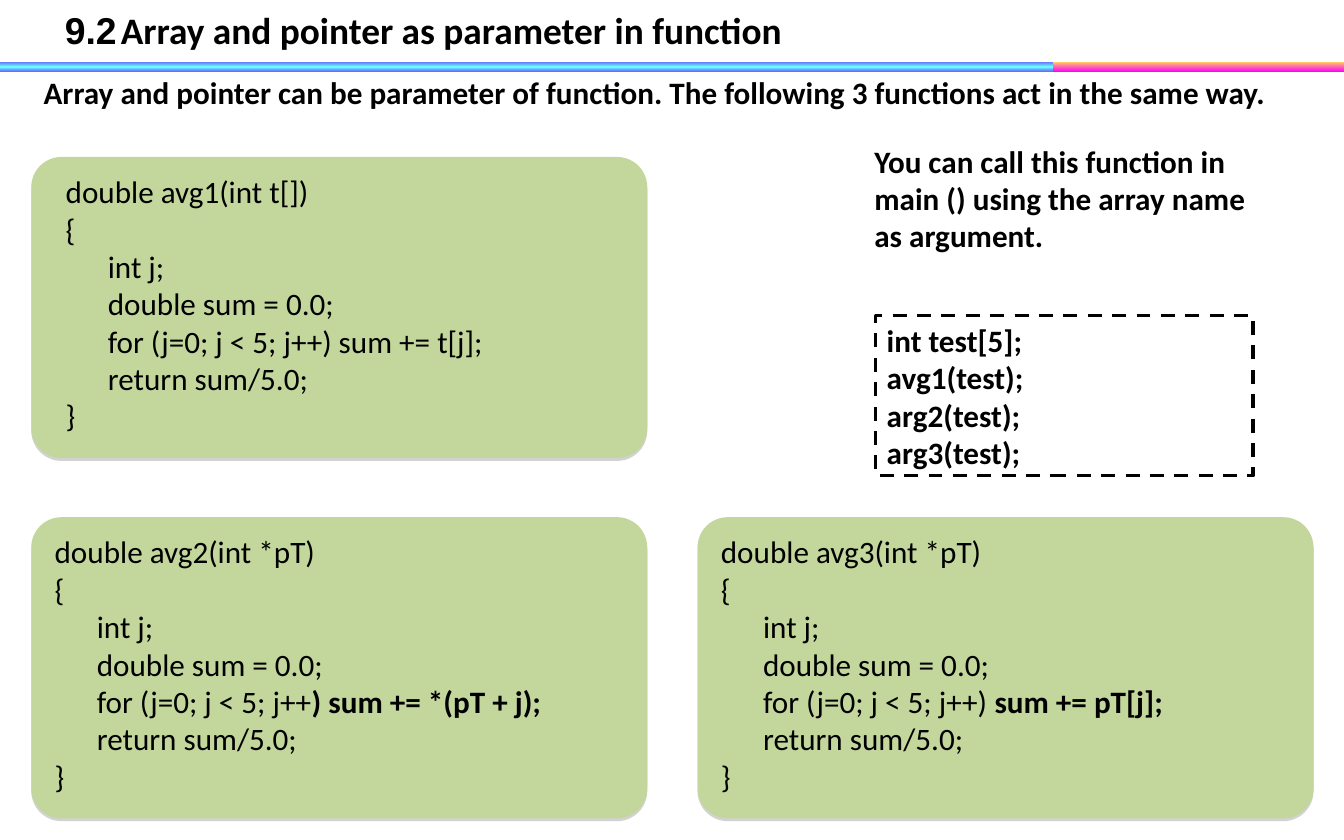
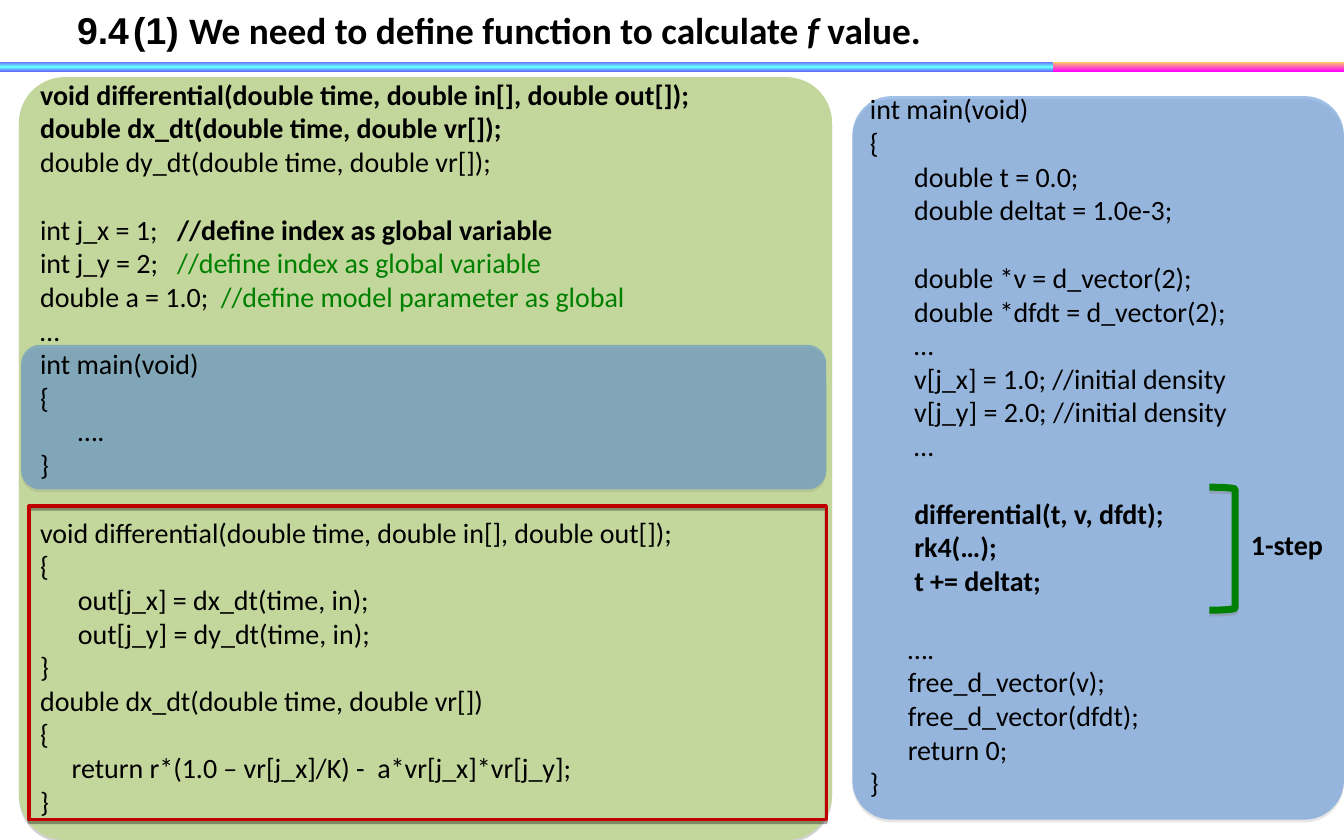
"""Build two slides on passing arrays and pointers to C functions."""
from pptx import Presentation
from pptx import util as u
from pptx.dml import color
from pptx.enum import dml, shapes, text
from pptx.oxml import ns, parse_xml

Cm, Pt = u.Cm, u.Pt
COLORS = {
    "black": "000000", "green": "008000", "red": "C00000", "grey": "808080",
    "leaf": "C3D69B", "blue": "558ED5",
    "magenta": "FF00FF", "orange": "FFCC66", "violet": "6666FF", "cyan": "66FFFF",
}
STYLES = {
    "plain": {}, "bold": {"bold": True}, "green": {"ink": "green"},
    "heading": {"bold": True, "name": "Arial"},
    "italic": {"bold": True, "italic": True},
}
LINE_HEIGHT = 1.22


class Deck:
    def __init__(self):
        self.presentation = Presentation()
        self.presentation.slide_width = Cm(30.48)
        self.presentation.slide_height = Cm(19.05)
        self.slide = None

    def rgb(self, name):
        return color.RGBColor.from_string(COLORS[name])

    def add_slide(self, title_left, title):
        self.slide = self.presentation.slides.add_slide(self.presentation.slide_layouts[6])
        self.band(22.55, 7.93, ["magenta", "orange"])
        self.band(0, 23.88, ["violet", "cyan", "violet"])
        self.text(title_left, 0.03, 22.9, 1.27, [title], 24, "bold")

    def shape(self, kind, left, top, width, height, fill=None, opacity=100,
              line=None, line_width=2.25, adjustment=None, shadow=None):
        shape = self.slide.shapes.add_shape(kind, Cm(left), Cm(top), Cm(width), Cm(height))
        if adjustment is not None:
            shape.adjustments[0] = adjustment
        if fill:
            shape.fill.solid()
            shape.fill.fore_color.rgb = self.rgb(fill)
            if opacity < 100:
                solid = shape._element.spPr.find(ns.qn("a:solidFill"))
                solid.find(ns.qn("a:srgbClr")).append(parse_xml(
                    f'<a:alpha {ns.nsdecls("a")} val="{opacity * 1000}"/>'))
        else:
            shape.fill.background()
        if line:
            shape.line.color.rgb = self.rgb(line)
            shape.line.width = Pt(line_width)
        else:
            shape.line.fill.background()
        shape.shadow.inherit = False
        if shadow:
            shape._element.spPr.find(ns.qn("a:effectLst")).append(parse_xml(
                f'<a:outerShdw {ns.nsdecls("a")} blurRad="0" dist="23000" dir="5400000" '
                f'rotWithShape="0"><a:srgbClr val="{COLORS[shadow]}">'
                '<a:alpha val="35000"/></a:srgbClr></a:outerShdw>'))
        return shape

    def band(self, left, width, names):
        band = self.shape(shapes.MSO_SHAPE.RECTANGLE, left, 1.4, width, 0.23)
        band.fill.gradient()
        band.fill.gradient_angle = 90
        stops = "".join(
            f'<a:gs pos="{100000 * index // (len(names) - 1)}">'
            f'<a:srgbClr val="{COLORS[name]}"/></a:gs>' for index, name in enumerate(names))
        gradient = band._element.spPr.find(ns.qn("a:gradFill"))
        gradient.replace(gradient.find(ns.qn("a:gsLst")), parse_xml(
            f'<a:gsLst {ns.nsdecls("a")}>{stops}</a:gsLst>'))

    def panel(self, left, top, width, height, fill, adjustment, opacity=100):
        self.shape(shapes.MSO_SHAPE.ROUNDED_RECTANGLE, left, top, width, height, fill,
                   opacity, adjustment=adjustment, shadow="grey")

    def frame(self, left, top, width, height, line, shadow=None):
        return self.shape(shapes.MSO_SHAPE.RECTANGLE, left, top, width, height,
                          line=line, shadow=shadow)

    def text(self, left, top, width, height, lines, size, style="plain", tabs=()):
        box = self.slide.shapes.add_textbox(Cm(left), Cm(top), Cm(width), Cm(height))
        self.set_lines(box, lines, size, style, tabs)

    def set_lines(self, shape, lines, size, style="plain", tabs=()):
        frame = shape.text_frame
        frame.word_wrap = True
        frame.vertical_anchor = text.MSO_ANCHOR.TOP
        frame.text = "\n".join("" for line in lines if line)
        paragraphs = iter(frame.paragraphs)
        gap = False
        for line in lines:
            if not line:
                gap = True
                continue
            paragraph = next(paragraphs)
            paragraph.alignment = text.PP_ALIGN.LEFT
            if gap:
                paragraph.space_before = Pt(round(size * LINE_HEIGHT))
            gap = False
            pieces = [(line, style)] if isinstance(line, str) else line
            paragraph.text = pieces[0][0]
            for content, _ in pieces[1:]:
                paragraph.add_run().text = content
            if tabs and "\t" in paragraph.text:
                stops = "".join(f'<a:tab pos="{Cm(stop)}" algn="l"/>' for stop in tabs)
                paragraph._p.get_or_add_pPr().append(parse_xml(
                    f'<a:tabLst {ns.nsdecls("a")}>{stops}</a:tabLst>'))
            for run, (_, name) in zip(paragraph.runs, pieces):
                self.style_font(run.font, size, **STYLES[name])

    def style_font(self, font, size, bold=False, italic=False, name="Calibri", ink="black"):
        font.size, font.bold, font.italic, font.name = Pt(size), bold, italic, name
        font.color.rgb = self.rgb(ink)

    def function_card(self, left, top, indent, signature, loop):
        self.panel(left, top, 13.97, 6.83, "leaf", 0.1)
        lines = [signature, "{", "      int j;", "      double sum = 0.0;", loop,
                 "      return sum/5.0;", "}"]
        self.text(left + indent, top + 0.23, 13.4, 6.4, lines, 20)


def add_parameter_slide(deck):
    deck.add_slide(1.22, [("9.2\t", "heading"),
                          ("Array and pointer as parameter in function", "bold")])
    deck.text(0.74, 1.55, 28.37, 1.96, [
        "Array and pointer can be parameter of function. "
        "The following 3 functions act in the same way."], 20, "bold")
    left, right, upper, lower = 0.71, 15.82, 3.56, 11.73
    deck.function_card(left, upper, 0.53, "double avg1(int t[])",
                       "      for (j=0; j < 5; j++) sum += t[j];")
    deck.function_card(left, lower, 0.28, "double avg2(int *pT)",
                       [("      for (j=0; j < 5; j++", "plain"),
                        (") sum += *(pT + j);", "bold")])
    deck.function_card(right, lower, 0.28, "double avg3(int *pT)",
                       [("      for (j=0; j < 5; j++) ", "plain"), ("sum += pT[j];", "bold")])
    deck.text(19.58, 3.1, 8.99, 3.63, [
        "You can call this function in main () using the array name as argument."], 20, "bold")
    calls = deck.frame(19.86, 7.16, 8.56, 3.63, "black")
    calls.line.dash_style = dml.MSO_LINE.DASH
    deck.set_lines(calls, ["int test[5];", "avg1(test);", "arg2(test);", "arg3(test);"],
                   20, "bold")


def add_differential_slide(deck):
    deck.add_slide(1.5, [("9.4\t(1) ", "heading"),
                         ("We need to define function to calculate ", "bold"),
                         ("f", "italic"), (" value.", "bold")])
    deck.panel(0.43, 1.75, 18.44, 17.3, "leaf", 0.06)
    deck.panel(0.48, 7.82, 18.26, 3.28, "blue", 0.13, 55)
    index_comment = "//define index as global variable"
    program = [
        [("void differential(double time, double in[], double out[]);", "bold")],
        [("double dx_dt(double time, double vr[]);", "bold")],
        "double dy_dt(double time, double vr[]);",
        "",
        [("int j_x = 1;\t", "plain"), (index_comment, "bold")],
        [("int j_y = 2;\t", "plain"), (index_comment, "green")],
        [("double a = 1.0;\t", "plain"), ("//define model parameter as global", "green")],
        "…",
        "int main(void)",
        "{",
        "      ….",
        "}",
        "",
        "void differential(double time, double in[], double out[]);",
        "{",
        "      out[j_x] = dx_dt(time, in);",
        "      out[j_y] = dy_dt(time, in);",
        "}",
        "double dx_dt(double time, double vr[])",
        "{",
        "     return r*(1.0 – vr[j_x]/K) -  a*vr[j_x]*vr[j_y];",
        "}",
    ]
    deck.text(0.66, 1.63, 18.69, 17.02, program, 18, tabs=(3.11, 4.1))

    deck.panel(19.33, 2.18, 11.15, 16.41, "blue", 0.08, 55)
    main_body = [
        "int main(void)",
        "{",
        "       double t = 0.0;",
        "       double deltat = 1.0e-3;",
        "",
        "       double *v = d_vector(2);",
        "       double *dfdt = d_vector(2);",
        "       …",
        "       v[j_x] = 1.0; //initial density",
        "       v[j_y] = 2.0; //initial density",
        "       …",
        "",
        *([("       ", "plain"), (step, "bold")]
          for step in ("differential(t, v, dfdt);", "rk4(…);", "t += deltat;")),
        "",
        "      ….",
        "      free_d_vector(v);",
        "      free_d_vector(dfdt);",
        "      return 0;",
        "}",
    ]
    deck.text(19.48, 1.96, 10.87, 16.26, main_body, 18)
    deck.shape(shapes.MSO_SHAPE.RIGHT_BRACKET, 27.43, 11.05, 0.58, 2.79, line="green",
               line_width=4.5, adjustment=0.08, shadow="grey")
    deck.text(28.12, 11.84, 2.3, 1.02, ["1-step"], 18, "bold")
    deck.frame(0.66, 11.48, 18.08, 7.11, "red", "black")


def main():
    deck = Deck()
    add_parameter_slide(deck)
    add_differential_slide(deck)
    deck.presentation.save("out.pptx")


if __name__ == "__main__":
    main()
